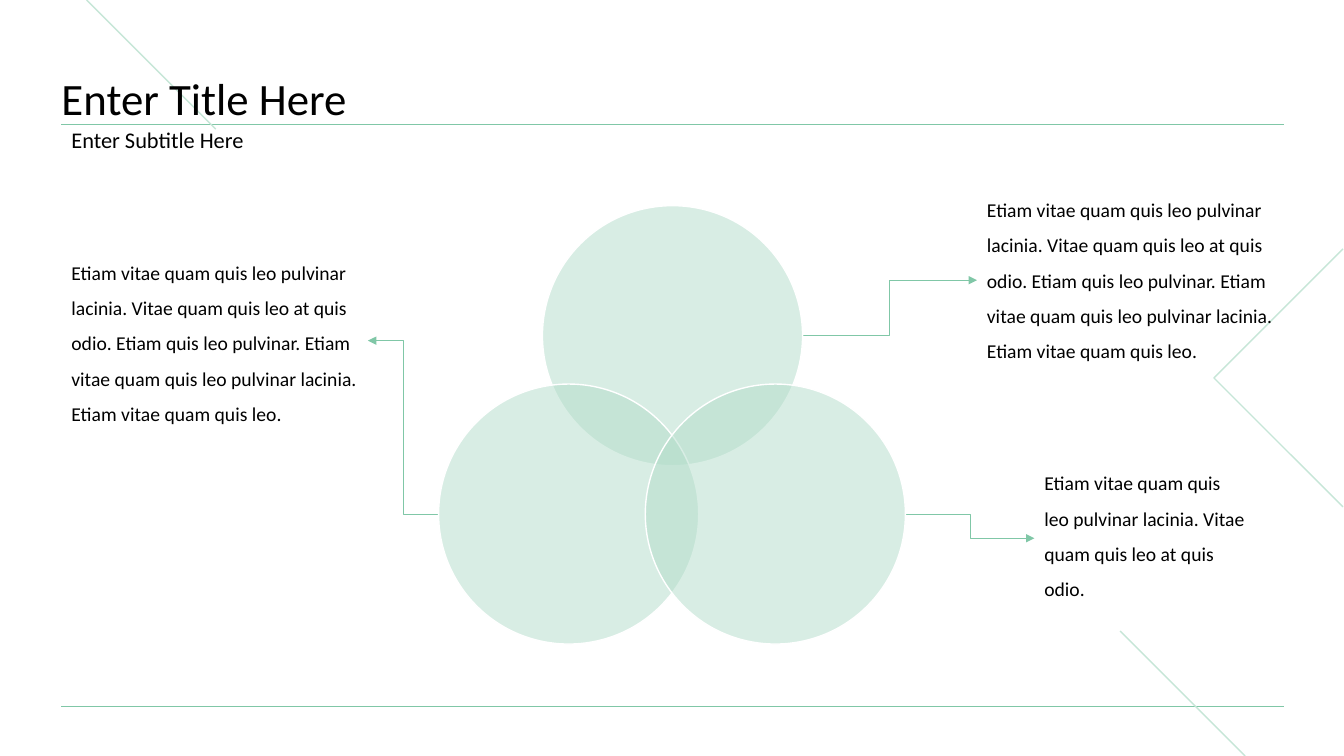
from lxml import etree
from pptx import Presentation
from pptx.dml.color import RGBColor
from pptx.enum.shapes import MSO_CONNECTOR, MSO_SHAPE
from pptx.enum.text import MSO_ANCHOR, PP_ALIGN
from pptx.oxml.ns import qn
from pptx.util import Pt

PX = 9144  # 100 px to the inch
STRAIGHT, ELBOW = MSO_CONNECTOR.STRAIGHT, MSO_CONNECTOR.ELBOW
OVAL = MSO_SHAPE.OVAL
TOP, MIDDLE, BOTTOM = MSO_ANCHOR.TOP, MSO_ANCHOR.MIDDLE, MSO_ANCHOR.BOTTOM
LEFT = PP_ALIGN.LEFT

FONT = "Calibri"
BLACK, WHITE = "000000", "FFFFFF"
GREEN, PALE, MINT = "80C7A7", "C6E6D7", "B3DDCA"
EDGE, WIDE = 61, 1212
SIZE = 258

SHORT = "Etiam vitae quam quis leo pulvinar lacinia. Vitae quam quis leo at quis odio."
LONG = SHORT + (" Etiam quis leo pulvinar. Etiam vitae quam quis leo pulvinar lacinia."
                " Etiam vitae quam quis leo.")

NOTES = [  # text, box
    (LONG, (969, 180, 304, 196)),
    (SHORT, (1026, 451, 220, 166)),
    (LONG, (EDGE, 242, 304, 191)),
]
ARROWS = [  # circle side to note side
    (796, 333, 969, 278),
    (898, 510, 1026, 534),
    (435, 510, 365, 338),
]
CIRCLES = [(538, 204), (435, 381), (640, 381)]


def px(*nums):
    return [n * PX for n in nums]


def rgb(code):
    return RGBColor.from_string(code)


def stroke(item, color, width):
    item.line.color.rgb = rgb(color)
    item.line.width = Pt(width)


def add_line(slide, ends, color, width, kind=STRAIGHT):
    line = slide.shapes.add_connector(kind, *px(*ends))
    stroke(line, color, width)
    etree.SubElement(line.element.spPr, qn("a:effectLst"))
    return line


def add_arrow(slide, ends):
    line = add_line(slide, ends, GREEN, 0.5, ELBOW)
    etree.SubElement(line.line._get_or_add_ln(), qn("a:tailEnd"), type="triangle")


def add_angle(slide):
    draw = slide.shapes.build_freeform(1332, 247, scale=PX)
    draw.add_line_segments([(1204, 375), (1332, 503)], close=False)
    angle = draw.convert_to_shape()
    angle.shadow.inherit = False
    angle.fill.background()
    stroke(angle, PALE, 1)


def write(shape, text, size, spacing, anchor):
    frame = shape.text_frame
    frame.text = text
    frame.word_wrap = True
    frame.vertical_anchor = anchor
    para = frame.paragraphs[0]
    para.alignment = LEFT
    para.line_spacing = spacing
    font = para.runs[0].font
    font.name = FONT
    font.size = Pt(size)
    font.color.rgb = rgb(BLACK)


def add_text(slide, box, text, size, spacing, anchor=TOP):
    write(slide.shapes.add_textbox(*px(*box)), text, size, spacing, anchor)


def set_title(slide, text):
    title = slide.shapes.title
    title.left, title.top, title.width, title.height = px(EDGE, 44, WIDE, 80)
    write(title, text, 32, 0.9, BOTTOM)
    frame = title.text_frame
    frame.margin_left = frame.margin_right = 0
    frame.margin_top = frame.margin_bottom = 0
    # Bring the title in front of the background lines
    title.element.getparent().append(title.element)


def add_circle(slide, left, top):
    disc = slide.shapes.add_shape(OVAL, *px(left, top, SIZE, SIZE))
    disc.shadow.inherit = False
    disc.fill.solid()
    disc.fill.fore_color.rgb = rgb(MINT)
    tint = disc.element.spPr.find(".//" + qn("a:srgbClr"))
    etree.SubElement(tint, qn("a:alpha"), val="50000")
    stroke(disc, WHITE, 1)


def main():
    deck = Presentation()
    deck.slide_width, deck.slide_height = px(1333, 750)
    slide = deck.slides.add_slide(deck.slide_layouts[5])

    # Background rules and diagonals
    for y in (701, 123):
        add_line(slide, (EDGE, y, EDGE + WIDE, y), GREEN, 0.5)
    for ends in ((1111, 626, 1235, 750), (86, 0, 214, 128)):
        add_line(slide, ends, PALE, 1)
    add_angle(slide)

    # Headings
    set_title(slide, "Enter Title Here")
    add_text(slide, (EDGE, 123, WIDE, 34), "Enter Subtitle Here", 16, 0.9, MIDDLE)

    # Notes and their arrows
    for (text, box), ends in zip(NOTES, ARROWS):
        add_text(slide, box, text, 14, 1.5)
        add_arrow(slide, ends)

    # Overlapping circles
    for left, top in CIRCLES:
        add_circle(slide, left, top)

    deck.save("out.pptx")


if __name__ == "__main__":
    main()
